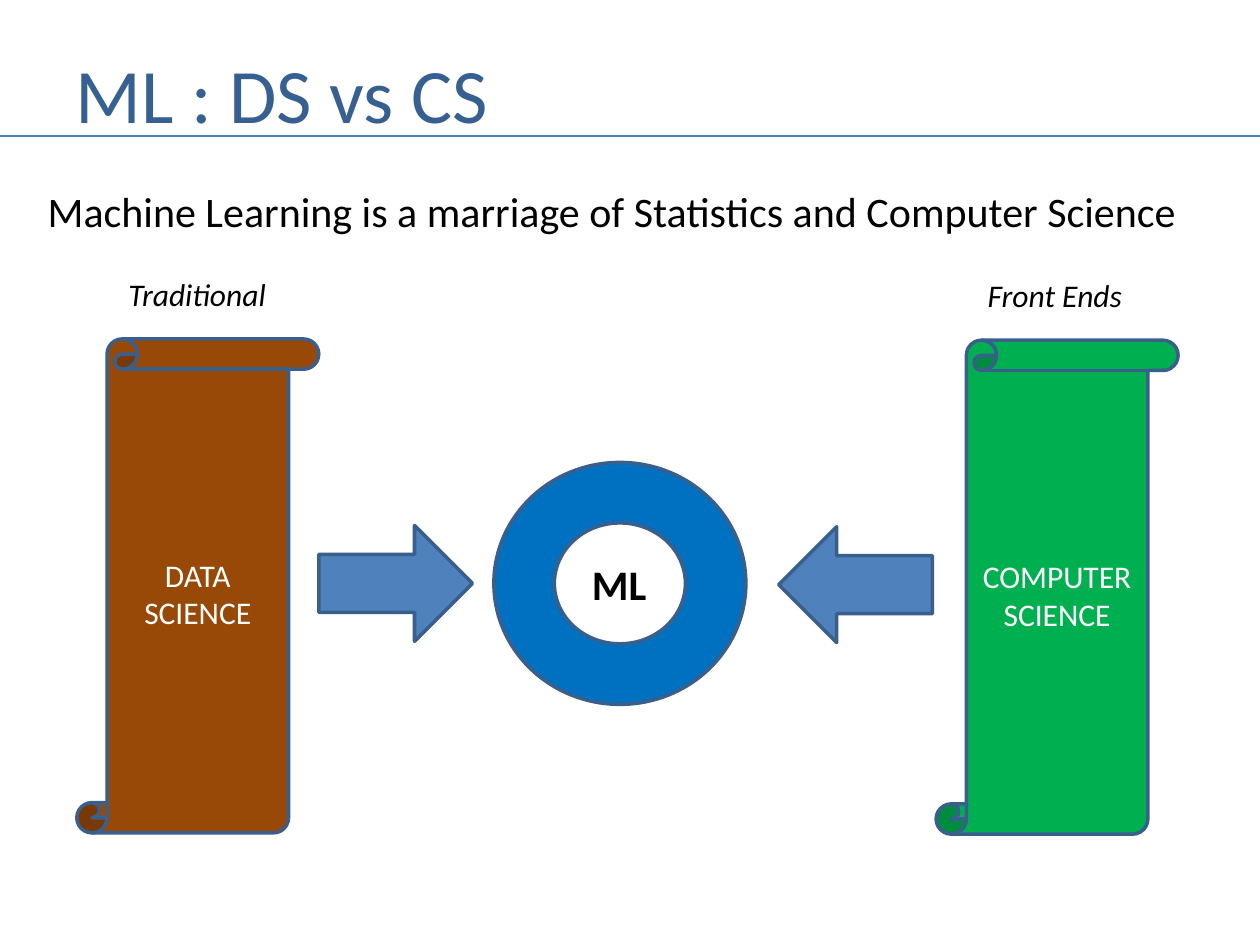
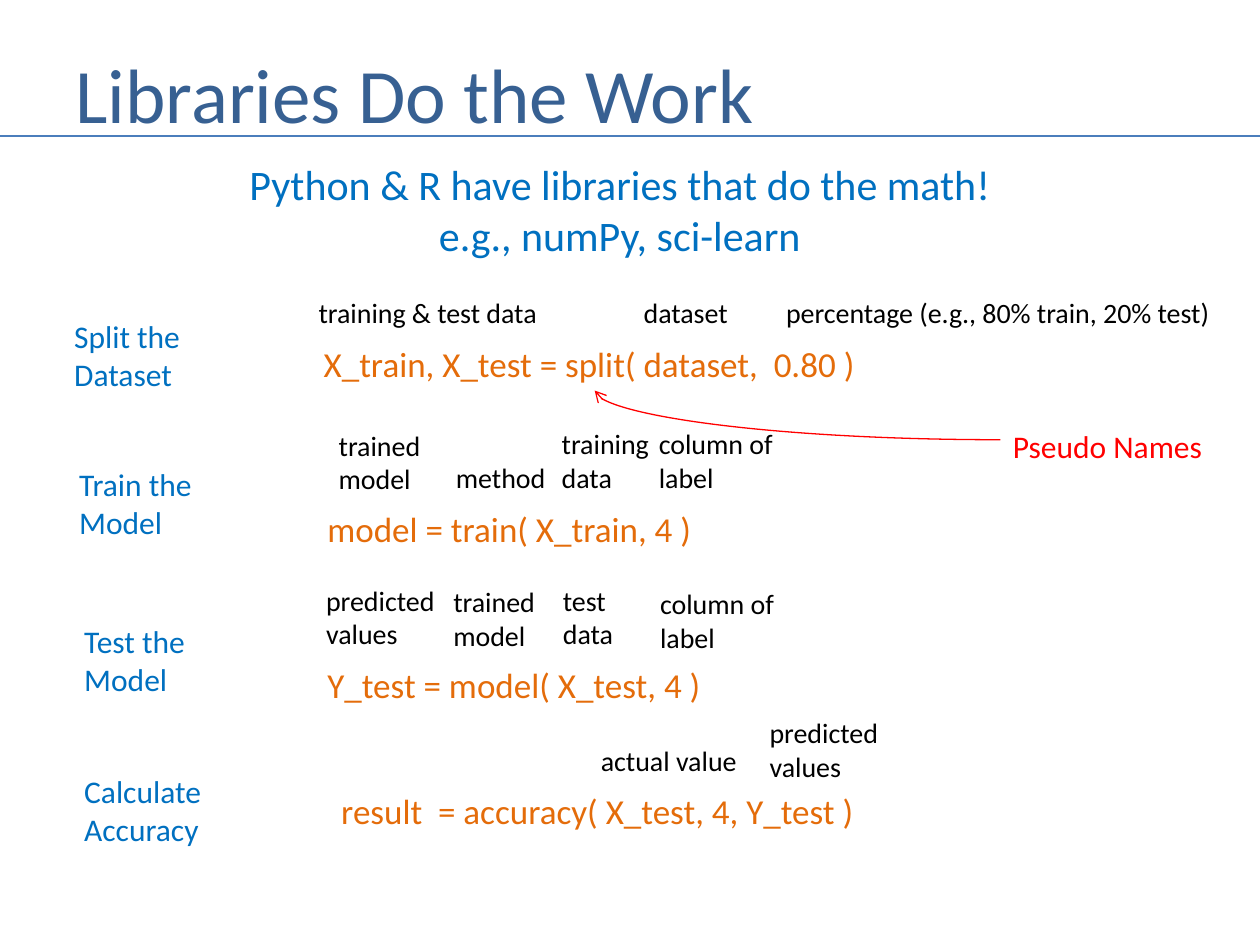
"""Build two slides on machine learning and the libraries behind it."""
from dataclasses import dataclass

from lxml.etree import SubElement
from pptx import Presentation
from pptx.dml.color import RGBColor
from pptx.enum.shapes import MSO_CONNECTOR, MSO_SHAPE
from pptx.enum.text import MSO_ANCHOR, MSO_AUTO_SIZE, PP_ALIGN
from pptx.oxml.ns import qn
from pptx.util import Inches, Pt


@dataclass(frozen=True)
class Theme:
    """Colours, font and type sizes shared by the slides."""

    font: str = "Calibri"
    title: str = "376092"
    rule: str = "4B7EBC"
    outline: str = "3A5F8C"
    arrow: str = "4F81BD"
    blue: str = "0070C0"
    brown: str = "984807"
    green: str = "00B050"
    code: str = "E46C0A"
    alert: str = "FF0000"
    black: str = "000000"
    white: str = "FFFFFF"
    title_size: int = 44
    lead_size: int = 24
    code_size: int = 20
    label_size: int = 18
    note_size: int = 16


@dataclass(frozen=True)
class Note:
    """A remark above a piece of code, placed from the code's corner."""

    text: str
    offset: float
    width: float
    drop: float = 0


@dataclass(frozen=True)
class Step:
    """A line of code with its label and its notes."""

    label: str
    label_offset: tuple
    label_width: float
    code: str
    left: float
    top: float
    width: float
    notes: tuple


THEME = Theme()
SCROLL_WIDTH, SCROLL_HEIGHT = 1.92, 3.92
ARROW_WIDTH, ARROW_HEIGHT = 1.22, 0.92

STEPS = (
    Step("Split the\vDataset", (-1.98, -0.2), 1.05,
         "X_train, X_test = split( dataset,  0.80 )", 2.47, 2.67, 4.48,
         (Note("training & test data", -0.04, 1.95),
          Note("dataset", 2.54, 0.88),
          Note("percentage (e.g., 80% train, 20% test)", 3.67, 3.6))),
    Step("Train the\vModel", (-1.97, -0.34), 1.1,
         "model = train( X_train, 4 )", 2.5, 3.98, 3.12,
         (Note("trained\nmodel", 0.09, 0.86, 0.01),
          Note("method", 1.02, 0.92),
          Note("training\ndata", 1.86, 0.95),
          Note("column of\nlabel", 2.63, 1.12))),
    Step("Test the\nModel", (-1.93, -0.33), 1.01,
         "Y_test = model( X_test, 4 )", 2.5, 5.22, 3.2,
         (Note("predicted\vvalues", -0.01, 1.07),
          Note("trained\nmodel", 1, 0.86, 0.01),
          Note("test\ndata", 1.87, 0.6),
          Note("column of\nlabel", 2.64, 1.12, 0.03))),
    Step("Calculate\nAccuracy", (-2.04, -0.14), 1.14,
         "result  = accuracy( X_test, 4, Y_test )", 2.61, 6.22, 4.31,
         (Note("actual value", 2.06, 1.31),
          Note("predicted\vvalues", 3.4, 1.07, 0.05))),
)


def format_text(text_frame, size, color, align=PP_ALIGN.LEFT, bold=False, italic=False):
    """Give every run of a text frame the same look."""
    for paragraph in text_frame.paragraphs:
        paragraph.alignment = align
        for run in paragraph.runs:
            run.font.name = THEME.font
            run.font.size = Pt(size)
            run.font.bold = bold
            run.font.italic = italic
            run.font.color.rgb = RGBColor.from_string(color)


def text_height(text, size):
    """Return the height in inches of a text box that fits its lines."""
    return round(0.1 + len(text.splitlines()) * size * 1.22 / 72, 2)


def add_text(slide, text, left, top, width, size, color, **style):
    """Add an unwrapped text box as tall as its text."""
    box = slide.shapes.add_textbox(
        Inches(left), Inches(top), Inches(width), Inches(text_height(text, size)))
    box.text_frame.text = text
    box.text_frame.word_wrap = False
    box.text_frame.auto_size = MSO_AUTO_SIZE.SHAPE_TO_FIT_TEXT
    format_text(box.text_frame, size, color, **style)


def add_solid(slide, kind, left, top, width, height, fill):
    """Add a filled and outlined preset shape."""
    shape = slide.shapes.add_shape(
        kind, Inches(left), Inches(top), Inches(width), Inches(height))
    shape.shadow.inherit = False
    shape.fill.solid()
    shape.fill.fore_color.rgb = RGBColor.from_string(fill)
    shape.line.color.rgb = RGBColor.from_string(THEME.outline)
    shape.line.width = Pt(2)
    return shape


def add_line(slide, kind, start, end, color, weight):
    """Add a connector without a shadow."""
    connector = slide.shapes.add_connector(kind, *map(Inches, start + end))
    connector.line.color.rgb = RGBColor.from_string(color)
    connector.line.width = Pt(weight)
    SubElement(connector.element.spPr, qn("a:effectLst"))
    return connector


def add_titled_slide(presentation, title, title_width):
    """Add a slide with a left-aligned title over a full-width rule."""
    slide = presentation.slides.add_slide(presentation.slide_layouts[5])
    shape = slide.shapes.title
    shape.left, shape.top = Inches(0.5), Inches(0.3)
    shape.width, shape.height = Inches(title_width), Inches(0.87)
    shape.text_frame.text = title
    shape.text_frame.vertical_anchor = MSO_ANCHOR.MIDDLE
    format_text(shape.text_frame, THEME.title_size, THEME.title)
    add_line(slide, MSO_CONNECTOR.STRAIGHT, (0, 1.08), (10, 1.08), THEME.rule, 1.5)
    return slide


def add_discipline(slide, left, top, name, fill, caption, caption_width, arrow_offset, rotation):
    """Add a captioned scroll with an arrow towards the middle."""
    scroll = add_solid(slide, MSO_SHAPE.VERTICAL_SCROLL, left, top,
                       SCROLL_WIDTH, SCROLL_HEIGHT, fill)
    scroll.text_frame.text = name
    scroll.text_frame.vertical_anchor = MSO_ANCHOR.MIDDLE
    format_text(scroll.text_frame, THEME.label_size, THEME.white, PP_ALIGN.CENTER)
    add_text(slide, caption, left + 0.31, top - 0.56, caption_width,
             THEME.label_size, THEME.black, italic=True)
    arrow = add_solid(slide, MSO_SHAPE.RIGHT_ARROW, left + arrow_offset, top + 1.48,
                      ARROW_WIDTH, ARROW_HEIGHT, THEME.arrow)
    arrow.rotation = rotation


def add_hub(slide, left, top):
    """Add the ring where the two disciplines meet."""
    add_solid(slide, MSO_SHAPE.DONUT, left, top, 2, 1.92, THEME.blue)
    add_text(slide, "ML", left + 0.68, top + 0.71, 0.64,
             THEME.lead_size, THEME.black, bold=True)


def add_step(slide, step):
    """Add a line of code, its label on the left and its notes above."""
    across, down = step.label_offset
    add_text(slide, step.label, step.left + across, step.top + down, step.label_width,
             THEME.label_size, THEME.blue)
    add_text(slide, step.code, step.left, step.top, step.width,
             THEME.code_size, THEME.code)
    for note in step.notes:
        top = step.top + note.drop - text_height(note.text, THEME.note_size)
        add_text(slide, note.text, step.left + note.offset, top, note.width,
                 THEME.note_size, THEME.black)


def add_callout(slide, left, top):
    """Add the red remark with a curved arrow back to the code."""
    add_text(slide, "Pseudo Names", left, top, 1.72, THEME.label_size, THEME.alert)
    curve = add_line(slide, MSO_CONNECTOR.CURVE, (left, top + 0.15),
                     (left - 3.22, top - 0.24), THEME.alert, 0.75)
    curve.element.spPr.find(qn("a:prstGeom")).set("prst", "curvedConnector2")
    SubElement(curve.line._get_or_add_ln(), qn("a:tailEnd"), type="arrow")


def build_comparison(presentation):
    """Build the slide that joins data science and computer science."""
    slide = add_titled_slide(presentation, "ML : DS vs CS", 6.33)
    add_text(slide, "Machine Learning is a marriage of Statistics and Computer Science",
             0.28, 1.42, 9.47, THEME.lead_size, THEME.black)
    add_hub(slide, 3.92, 3.67)
    add_discipline(slide, 0.61, 2.69, "DATA\vSCIENCE", THEME.brown,
                   "Traditional", 1.3, SCROLL_WIDTH, 0)
    add_discipline(slide, 7.43, 2.7, "COMPUTER\vSCIENCE", THEME.green,
                   "Front Ends", 1.28, -1.25, 180)


def build_libraries(presentation):
    """Build the slide that walks through the library calls."""
    slide = add_titled_slide(presentation, "Libraries Do the Work", 7.83)
    add_text(slide, "Python & R have libraries that do the math!\ne.g., numPy, sci-learn",
             1.85, 1.21, 6.14, THEME.lead_size, THEME.blue, align=PP_ALIGN.CENTER)
    for step in STEPS:
        add_step(slide, step)
    add_callout(slide, 7.94, 3.34)


def main():
    """Create the presentation and save it."""
    presentation = Presentation()
    presentation.slide_width, presentation.slide_height = Inches(10), Inches(7.5)
    build_comparison(presentation)
    build_libraries(presentation)
    presentation.save("out.pptx")


if __name__ == "__main__":
    main()
